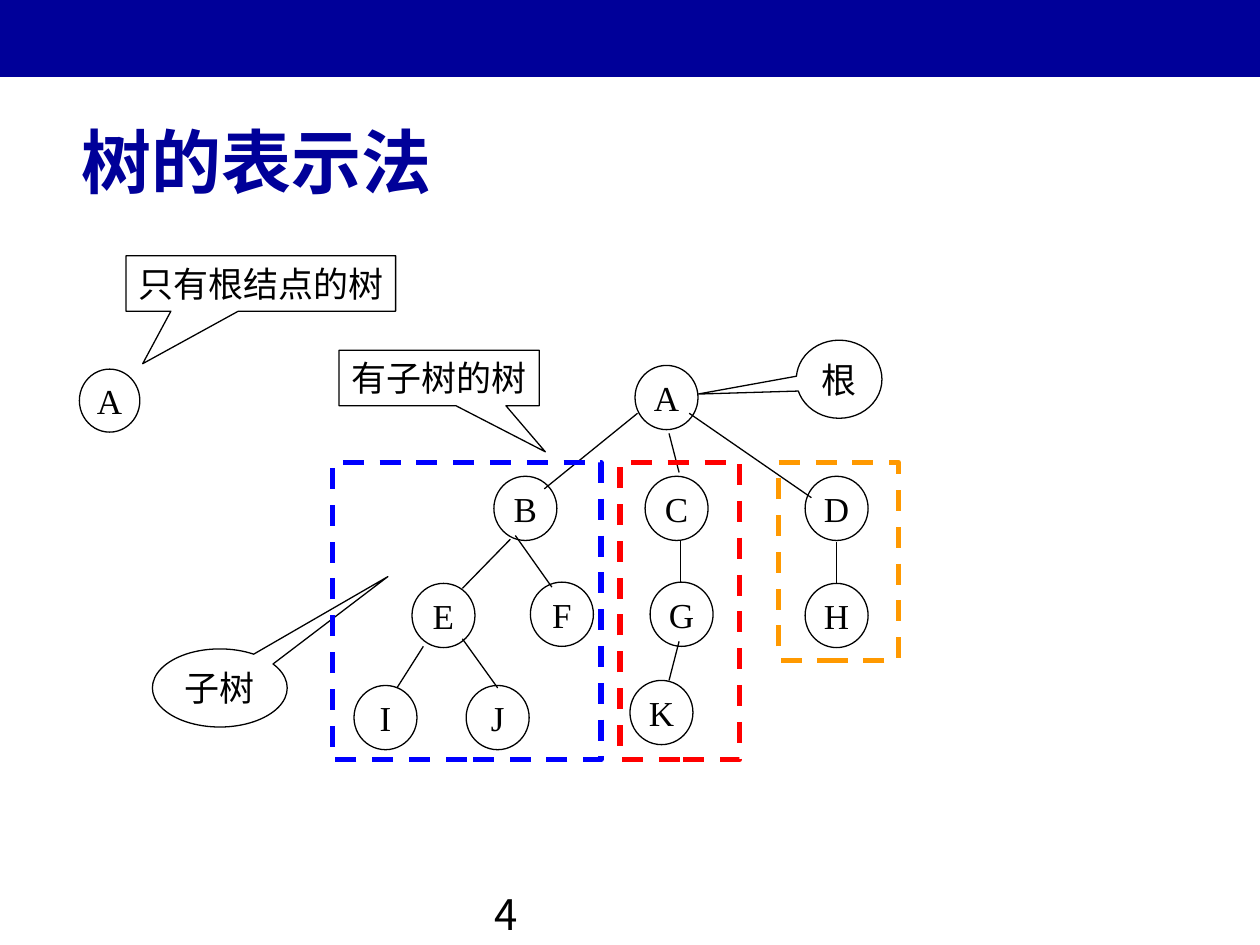
from lxml import etree
from pptx import Presentation
from pptx import util as u
from pptx.dml.color import RGBColor
from pptx.enum import dml, shapes, text
from pptx.oxml.ns import qn

COLORS = {"navy": "000099", "ink": "000000", "blue": "0000FF",
          "red": "FF0000", "orange": "FF9900"}
SANS, SERIF = "Noto Sans CJK SC", "Times New Roman"
SHAPE = shapes.MSO_SHAPE


def write(frame, words, size=20, font=SERIF, color="ink", bold=False,
          align=None, anchor=text.MSO_ANCHOR.TOP, wrap=True):
    frame.word_wrap = wrap
    frame.vertical_anchor = anchor
    paragraph = frame.paragraphs[0]
    paragraph.alignment = align
    run = paragraph.add_run()
    run.text = words
    run.font.size = u.Pt(size)
    run.font.name = font
    run.font.bold = bold
    run.font.color.rgb = RGBColor.from_string(COLORS[color])
    # Chinese characters use the sans face
    east_asian = etree.SubElement(run.font._element, qn("a:ea"))
    east_asian.set("typeface", SANS)


def add_outline(slide, kind, left, top, width, height, color="ink", weight=0.75):
    outline = slide.shapes.add_shape(kind, u.Inches(left), u.Inches(top),
                                     u.Inches(width), u.Inches(height))
    outline.shadow.inherit = False
    outline.fill.background()
    outline.line.color.rgb = RGBColor.from_string(COLORS[color])
    outline.line.width = u.Pt(weight)
    return outline


def add_label(slide, kind, words, left, top, width, height, pointer=()):
    label = add_outline(slide, kind, left, top, width, height)
    for index, value in enumerate(pointer):
        label.adjustments[index] = value
    write(label.text_frame, words, align=text.PP_ALIGN.CENTER,
          anchor=text.MSO_ANCHOR.MIDDLE, wrap=False)


def add_edge(slide, x1, y1, x2, y2):
    edge = slide.shapes.add_connector(
        shapes.MSO_CONNECTOR.STRAIGHT,
        u.Inches(x1), u.Inches(y1), u.Inches(x2), u.Inches(y2))
    edge.line.color.rgb = RGBColor.from_string(COLORS["ink"])
    edge.line.width = u.Pt(0.75)
    etree.SubElement(edge._element.spPr, qn("a:effectLst"))


def add_text(slide, words, left, top, width, height, **style):
    box = slide.shapes.add_textbox(u.Inches(left), u.Inches(top),
                                   u.Inches(width), u.Inches(height))
    write(box.text_frame, words, font=SANS, **style)


def add_header(slide, left, top, width):
    band = add_outline(slide, SHAPE.RECTANGLE, left, top, width, 0.61)
    band.fill.solid()
    band.fill.fore_color.rgb = RGBColor.from_string(COLORS["navy"])
    band.line.fill.background()
    add_text(slide, "树的表示法", left + 0.55, top + 0.86, 3.9, 0.8, size=40,
             color="navy", bold=True, anchor=text.MSO_ANCHOR.BOTTOM)


def add_single_root(slide, left, top):
    add_label(slide, SHAPE.OVAL, "A", left, top + 0.9, 0.48, 0.5)
    add_label(slide, SHAPE.RECTANGULAR_CALLOUT, "只有根结点的树",
              left + 0.37, top, 2.14, 0.44, (-0.438, 1.448))


def add_tree(slide, left, top):
    # Nodes, by top left corner
    nodes = {"A": (3.84, 0.4),
             "B": (2.72, 1.28), "C": (3.92, 1.28), "D": (5.19, 1.28),
             "E": (2.07, 2.13), "F": (3.01, 2.12), "G": (3.96, 2.12),
             "H": (5.19, 2.13),
             "I": (1.61, 2.94), "J": (2.5, 2.94), "K": (3.8, 2.9)}
    for name, (x, y) in nodes.items():
        add_label(slide, SHAPE.OVAL, name, left + x, top + y, 0.5, 0.51)

    # Edges from parent to child
    edges = {"AB": (3.86, 0.78, 3.12, 1.38), "AC": (4.11, 0.94, 4.19, 1.25),
             "AD": (4.27, 0.78, 5.24, 1.45), "BE": (2.85, 1.78, 2.47, 2.17),
             "BF": (2.89, 1.75, 3.18, 2.16), "CG": (4.2, 1.79, 4.2, 2.12),
             "DH": (5.44, 1.8, 5.44, 2.13), "EI": (2.16, 2.63, 1.95, 2.96),
             "EJ": (2.47, 2.57, 2.75, 2.96), "GK": (4.19, 2.59, 4.11, 2.9)}
    for x1, y1, x2, y2 in edges.values():
        add_edge(slide, left + x1, top + y1, left + x2, top + y2)

    # Callouts
    oval = SHAPE.OVAL_CALLOUT
    for kind, words, x, y, width, height, pointer in (
            (SHAPE.RECTANGULAR_CALLOUT, "有子树的树", 1.49, 0.28, 1.59, 0.44,
             (0.53, 1.332)),
            (oval, "根", 5.12, 0.2, 0.68, 0.62, (-1.649, 0.19)),
            (oval, "子树", 0.01, 2.65, 1.07, 0.62, (1.247, -1.426))):
        add_label(slide, kind, words, left + x, top + y, width, height, pointer)

    # Dashed subtree frames
    for color, x, width, height in (("orange", 4.98, 0.95, 1.57),
                                    ("red", 3.72, 0.95, 2.36),
                                    ("blue", 1.44, 2.13, 2.36)):
        subtree = add_outline(slide, SHAPE.RECTANGLE, left + x, top + 1.17,
                              width, height, color, 3)
        subtree.line.dash_style = dml.MSO_LINE.DASH


def main():
    deck = Presentation()
    deck.slide_width, deck.slide_height = u.Inches(10), u.Inches(7.5)
    slide = deck.slides.add_slide(deck.slide_layouts[6])
    add_header(slide, 0, 0, 10)
    add_text(slide, "4", 3.83, 7, 2.08, 0.5, size=24)
    add_single_root(slide, 0.63, 2.03)
    add_tree(slide, 1.2, 2.5)
    deck.save("out.pptx")


if __name__ == "__main__":
    main()
